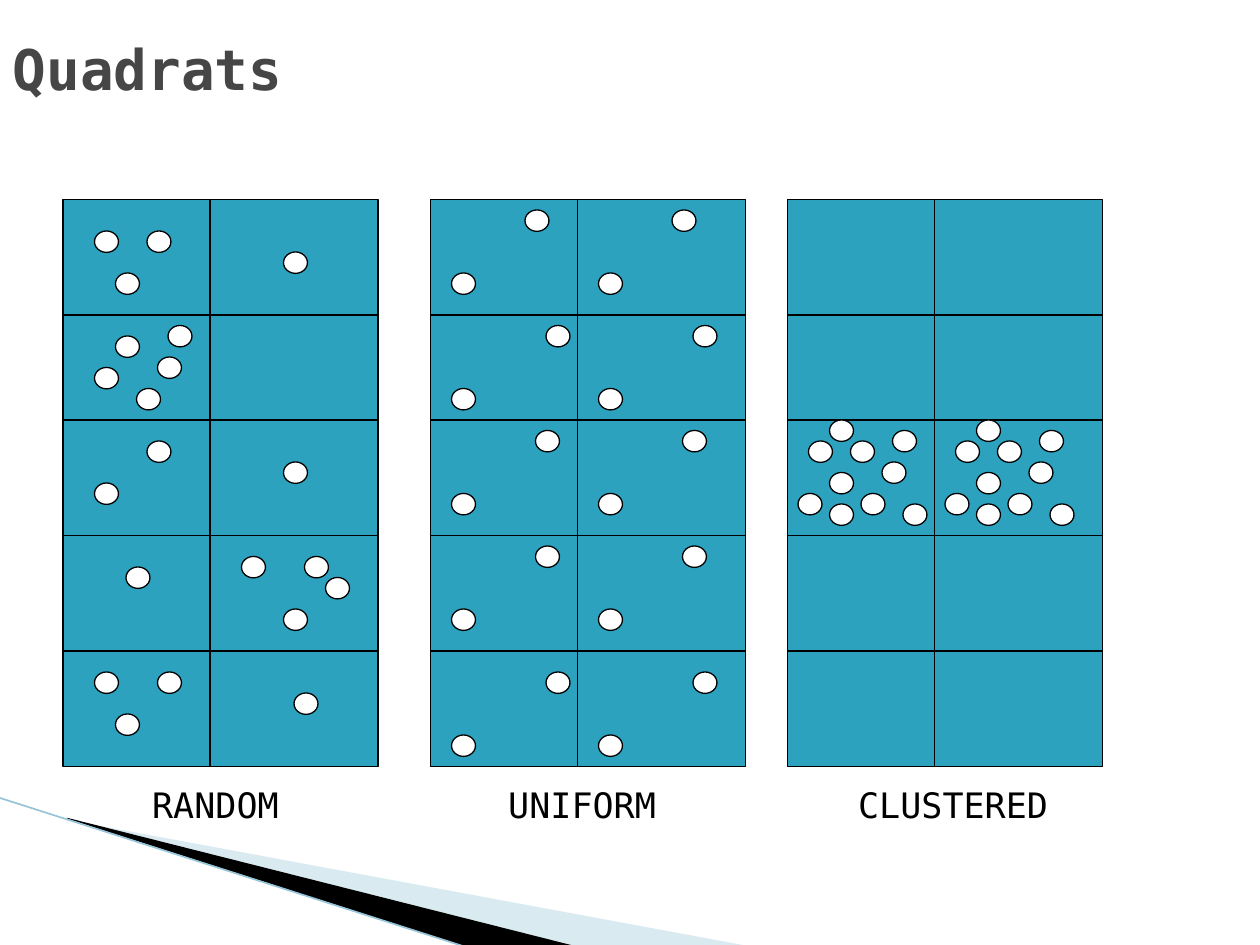
from lxml.etree import SubElement
from pptx import Presentation
from pptx.dml.color import RGBColor
from pptx.enum.shapes import MSO_CONNECTOR, MSO_SHAPE
from pptx.enum.text import MSO_ANCHOR, PP_ALIGN
from pptx.oxml.ns import qn
from pptx.util import Inches, Pt


def color(code):
    return RGBColor.from_string(code)


def unit(count):
    """The quadrats and dots sit on a grid of twelfths of an inch."""
    return Inches(count / 12)


class Page:
    font = "DejaVu Sans Mono"
    ink = "000000"

    def __init__(self, slide):
        self.slide = slide
        self.shapes = slide.shapes

    def text(self, frame, words, size, code, align, bold=False):
        para = frame.paragraphs[0]
        para.alignment = align
        run = para.add_run()
        run.text = words
        run.font.name = self.font
        run.font.size = Pt(size)
        run.font.bold = bold
        run.font.color.rgb = color(code)

    def title(self, words):
        box = self.shapes.title
        box.left, box.top = Inches(0), Inches(0)
        box.width, box.height = Inches(9.5), Inches(1.08)
        box.text_frame.vertical_anchor = MSO_ANCHOR.MIDDLE
        self.text(box.text_frame, words, 32, "464646", PP_ALIGN.LEFT, True)

    def label(self, words, left, width):
        box = self.shapes.add_textbox(Inches(left), Inches(6.17),
                                      Inches(width), Inches(0.44))
        box.text_frame.word_wrap = True
        self.text(box.text_frame, words, 20, self.ink, PP_ALIGN.CENTER)

    def shape(self, kind, left, top, width, height, fill):
        item = self.shapes.add_shape(kind, left, top, width, height)
        item.shadow.inherit = False
        item.fill.solid()
        item.fill.fore_color.rgb = color(fill)
        item.line.color.rgb = color(self.ink)
        item.line.width = Pt(0.75)

    def cell(self, col, row):
        self.shape(MSO_SHAPE.RECTANGLE, unit(col), unit(row),
                   unit(16), unit(11), "2DA2BF")

    def dot(self, col, row):
        self.shape(MSO_SHAPE.OVAL, unit(col), unit(row),
                   Inches(0.19), Inches(0.17), "FFFFFF")

    def wedge(self, points, fill, alpha=None):
        spots = [(Inches(x), Inches(y)) for x, y in points]
        pen = self.shapes.build_freeform(*spots[0])
        pen.add_line_segments(spots[1:], close=True)
        item = pen.convert_to_shape()
        item.shadow.inherit = False
        item.fill.solid()
        item.fill.fore_color.rgb = color(fill)
        item.line.fill.background()
        if alpha:
            tone = item._element.spPr.find(".//" + qn("a:srgbClr"))
            SubElement(tone, qn("a:alpha"), val=str(alpha * 1000))

    def line(self, start, end, code, width):
        item = self.shapes.add_connector(MSO_CONNECTOR.STRAIGHT,
                                         *map(Inches, start + end))
        item.line.color.rgb = color(code)
        item.line.width = Pt(width)
        SubElement(item._element.spPr, qn("a:effectLst"))


STEP = 14  # from one quadrat column to the next
PANELS = (6, 41, 75)
ROWS = (51, 29, 40, 19, 62)  # back to front, as rows overlap slightly

RANDOM = [
    (9, 22), (11, 26), (14, 22), (11, 32), (15, 34), (9, 35), (13, 37),
    (16, 31), (14, 42), (9, 46), (12, 54), (9, 64), (11, 68), (15, 64),
    (27, 24), (27, 44), (29, 53), (27, 58), (23, 53), (28, 66), (31, 55),
]
UNIFORM = [
    (43, 26), (50, 20), (52, 31), (43, 37), (43, 47),
    (51, 41), (43, 58), (51, 52), (52, 64), (43, 70),
]
CLUSTER = [
    (77, 42), (79, 45), (81, 42), (76, 47), (84, 44),
    (79, 48), (82, 47), (85, 41), (86, 48), (79, 40),
]


def main():
    deck = Presentation()
    deck.slide_width, deck.slide_height = Inches(10), Inches(7.5)
    page = Page(deck.slides.add_slide(deck.slide_layouts[5]))
    page.title("Quadrats")

    # Corner decoration
    page.wedge([(0.55, 6.51), (5.95, 7.51), (4.56, 7.51), (0.55, 6.5)],
               "A0CBDC", 40)
    page.wedge([(0.53, 6.49), (4.57, 7.51), (3.72, 7.52), (0.54, 6.5)],
               "000000")
    page.line((-0.01, 6.33), (3.71, 7.52), "97C5D8", 0.95)

    # Three panels of two by five quadrats
    for left in PANELS:
        for row in ROWS:
            for shift in (0, STEP):
                page.cell(left + shift, row)

    # Dots: the last two patterns repeat in both columns
    for col, row in RANDOM:
        page.dot(col, row)
    for group in (UNIFORM, CLUSTER):
        for shift in (0, STEP):
            for col, row in group:
                page.dot(col + shift, row)

    # Panel names
    page.label("RANDOM", 0.67, 2.08)
    page.label("UNIFORM", 3.62, 2)
    page.label("CLUSTERED", 6.3, 2.53)

    deck.save("out.pptx")


if __name__ == "__main__":
    main()
